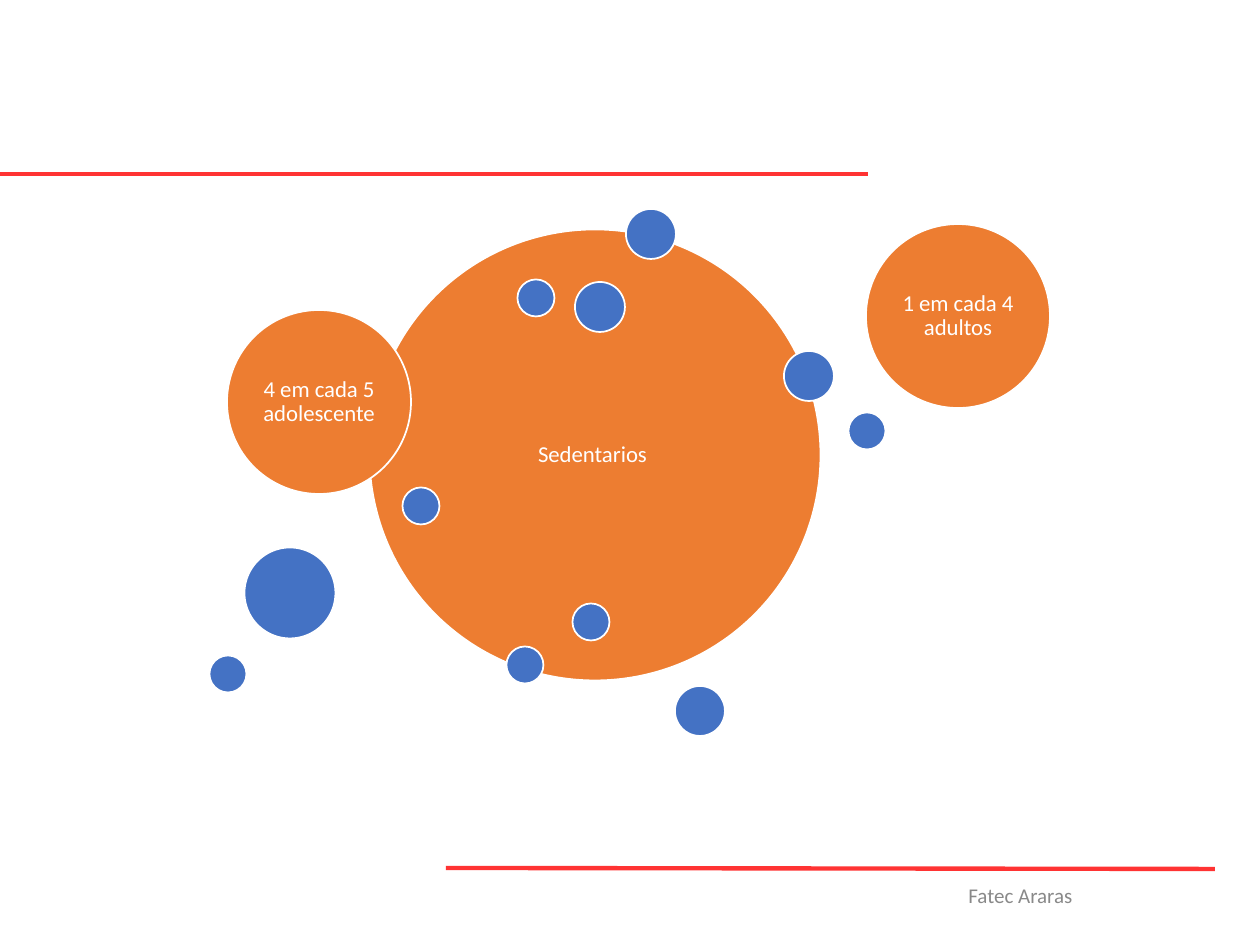
from dataclasses import dataclass

from lxml.etree import SubElement
from pptx import Presentation
from pptx.dml.color import RGBColor
from pptx.enum.shapes import MSO_CONNECTOR, MSO_SHAPE
from pptx.enum.text import MSO_ANCHOR, PP_ALIGN
from pptx.oxml.ns import qn
from pptx.slide import Slide
from pptx.text.text import _Paragraph
from pptx.util import Emu, Pt

SCALE = 914400 / 126
RED, ORANGE, BLUE, WHITE, GREY = "FF3333", "ED7D31", "4472C4", "FFFFFF", "898989"
TINY, SMALL, MID, LARGE, HUGE = 37, 50, 91, 184, 451  # diameters


@dataclass
class Rule:
    x1: int
    y1: int
    x2: int
    y2: int


@dataclass
class Bubble:
    x: int  # centre
    y: int
    size: int
    fill: str = BLUE
    label: str = ""


RULES = [Rule(-5, 174, 868, 174), Rule(446, 868, 1215, 869)]

# Back to front
BUBBLES = [
    Bubble(595, 455, HUGE, ORANGE, "Sedentarios "),
    Bubble(651, 234, SMALL),
    Bubble(525, 665, TINY),
    Bubble(867, 431, TINY),
    Bubble(700, 711, SMALL),
    Bubble(536, 298, TINY),
    Bubble(421, 506, TINY),
    Bubble(319, 402, LARGE, ORANGE, "4 em cada 5 adolescente"),
    Bubble(600, 307, SMALL),
    Bubble(290, 593, MID),
    Bubble(958, 316, LARGE, ORANGE, "1 em cada 4 adultos"),
    Bubble(809, 376, SMALL),
    Bubble(228, 674, TINY),
    Bubble(591, 622, TINY),
]


def px(n: float) -> Emu:
    return Emu(round(n * SCALE))


def color(code: str) -> RGBColor:
    return RGBColor.from_string(code)


def write(para: _Paragraph, text: str, size: int, tint: str) -> None:
    run = para.add_run()
    run.text = text
    run.font.name = "Calibri"
    run.font.size = Pt(size)
    run.font.color.rgb = color(tint)


def draw_rule(slide: Slide, rule: Rule) -> None:
    line = slide.shapes.add_connector(
        MSO_CONNECTOR.STRAIGHT, px(rule.x1), px(rule.y1), px(rule.x2), px(rule.y2))
    line.line.color.rgb = color(RED)
    line.line.width = Pt(2.5)
    SubElement(line._element.spPr, qn("a:effectLst"))


def draw_bubble(slide: Slide, item: Bubble) -> None:
    half = item.size / 2
    shape = slide.shapes.add_shape(
        MSO_SHAPE.OVAL, px(item.x - half), px(item.y - half), px(item.size), px(item.size))
    shape.shadow.inherit = False
    shape.fill.solid()
    shape.fill.fore_color.rgb = color(item.fill)
    shape.line.color.rgb = color(WHITE)
    shape.line.width = Pt(1)
    if item.label:
        frame = shape.text_frame
        frame.word_wrap = True
        frame.vertical_anchor = MSO_ANCHOR.MIDDLE
        frame.margin_left = frame.margin_right = px(6)
        frame.margin_top = frame.margin_bottom = px(6)
        para = frame.paragraphs[0]
        para.alignment = PP_ALIGN.CENTER
        para.line_spacing = 0.9
        write(para, item.label, 13, WHITE)


def draw_foot(slide: Slide) -> None:
    box = slide.shapes.add_textbox(px(956), px(876), px(155), px(63))
    box.text_frame.word_wrap = False
    write(box.text_frame.paragraphs[0], "Fatec Araras", 12, GREY)


def main() -> None:
    deck = Presentation()
    deck.slide_width, deck.slide_height = px(1260), px(945)
    slide = deck.slides.add_slide(deck.slide_layouts[6])

    # Frame of the page
    for rule in RULES:
        draw_rule(slide, rule)
    draw_foot(slide)

    # Bubble diagram
    for item in BUBBLES:
        draw_bubble(slide, item)

    deck.save("out.pptx")


if __name__ == "__main__":
    main()
